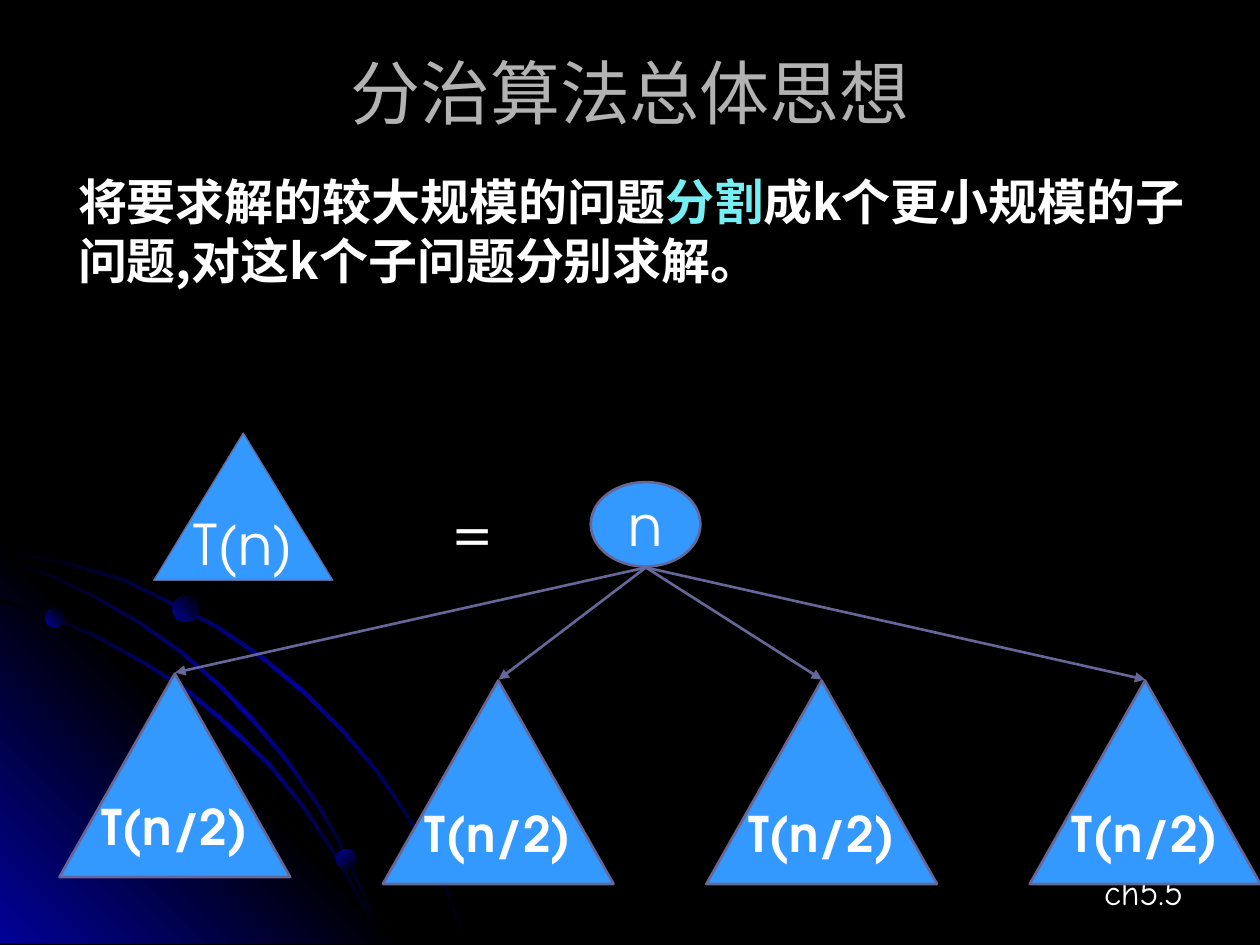
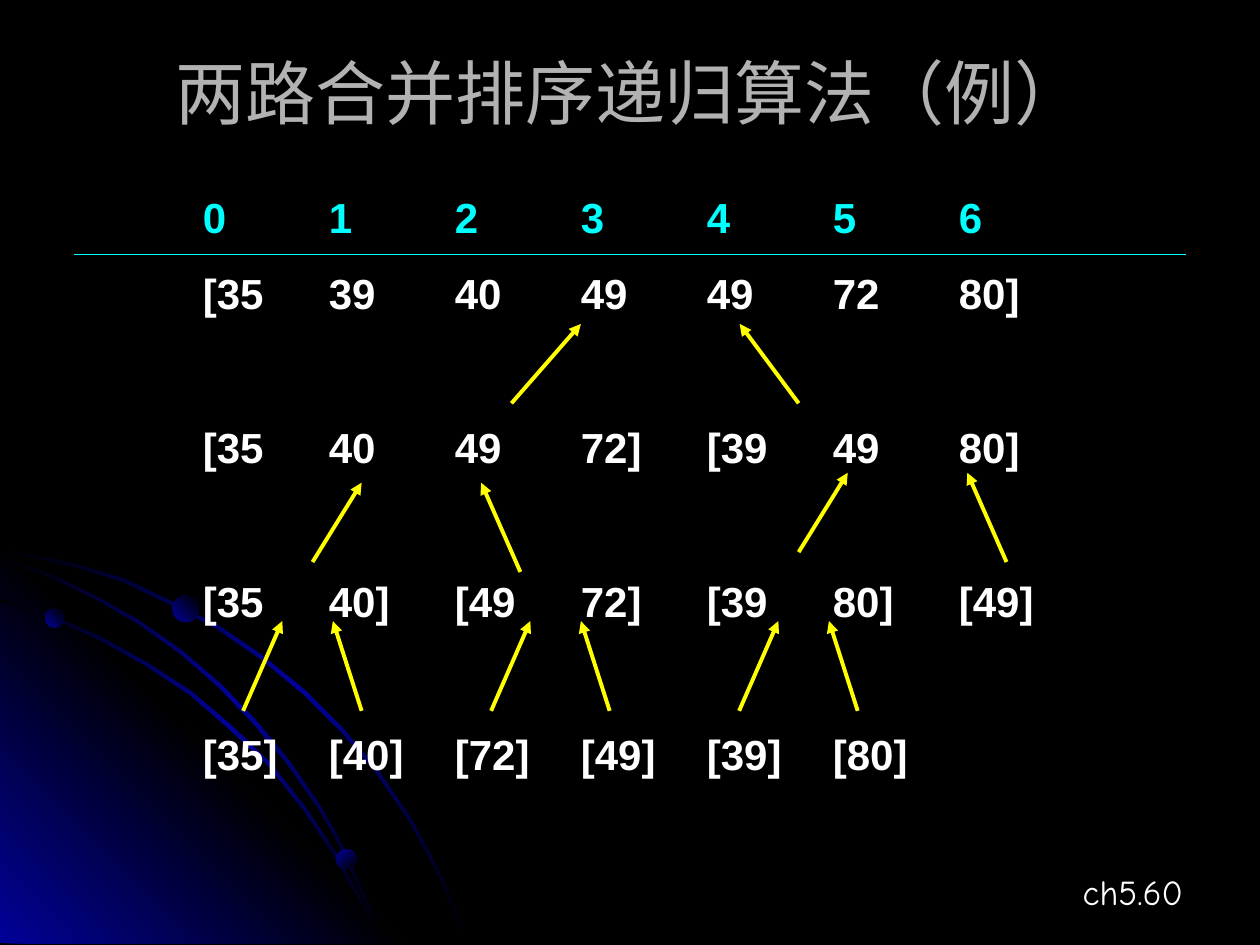
"""Build two slides on divide and conquer and on recursive merge sort."""
from pptx import Presentation
from pptx.dml.color import RGBColor
from pptx.enum.shapes import MSO_CONNECTOR as Conn, MSO_SHAPE as Kind
from pptx.enum.text import MSO_ANCHOR as Anchor, PP_ALIGN as Align
from pptx.oxml import parse_xml
from pptx.oxml.ns import nsdecls, qn
from pptx.util import Cm, Pt

BLACK, NAVY, WHITE, GREY = "000000", "010199", "FFFFFF", "B2B2B2"
SKY, SLATE, CYAN, PALE, YELLOW = "3399FF", "666699", "00FFFF", "77EEF1", "FFFF00"
HAN, GEO = "Noto Sans CJK SC", "TeX Gyre Adventor"
TITLE = {"name": "Arial", "size": Pt(40), "bold": False}
BODY = {"name": HAN, "size": Pt(28), "bold": True}
FOOT = {"name": "Comic Neue", "size": Pt(20), "bold": False}
NODE = {"name": GEO, "size": Pt(32), "bold": False}
LEAF = {"name": GEO, "size": Pt(28), "bold": True}
GRID = {"name": "Arial", "size": Pt(24), "bold": True}


def hue(code):
    return RGBColor.from_string(code)


def write(box, rows, look, align=Align.CENTER, wrap=True):
    frame = box.text_frame
    frame.word_wrap = wrap
    for num, (gap, runs) in enumerate(rows):
        para = frame.add_paragraph() if num else frame.paragraphs[0]
        para.alignment, para.space_before = align, Pt(gap)
        for text, code in runs:
            run = para.add_run()
            run.text = text
            for key, val in look.items():
                setattr(run.font, key, val)
            run.font.color.rgb = hue(code)
    for props in box.element.iter(qn("a:rPr")):
        props.append(parse_xml(f'<a:ea {nsdecls("a")} typeface="{HAN}"/>'))


deck = Presentation()
deck.slide_width, deck.slide_height = Cm(25.4), Cm(19.05)
master = deck.slide_master
master.background.fill.solid()
master.background.fill.fore_color.rgb = hue(BLACK)
split = deck.slides.add_slide(deck.slide_layouts[1])
merge = deck.slides.add_slide(deck.slide_layouts[5])

arcs = [
    [(0, 1105), (71, 1120), (145, 1135), (249, 1166), (345, 1212), (442, 1262),
     (531, 1323), (615, 1392), (691, 1468), (762, 1552), (826, 1646),
     (861, 1709), (894, 1773), (919, 1836), (945, 1902)],
    [(0, 1207), (104, 1240), (201, 1283), (297, 1336), (386, 1394), (467, 1463),
     (546, 1539), (615, 1626), (676, 1717), (726, 1808), (752, 1854), (770, 1902)],
    [(0, 1123), (99, 1156), (193, 1201), (282, 1252), (366, 1311), (445, 1379),
     (518, 1455), (582, 1532), (645, 1623), (683, 1689), (716, 1760),
     (747, 1829), (770, 1902)],
]
bands = []
for arc in arcs:
    last = len(arc) - 1
    inner = [(x - 5 * min(1, 2 * n / last), y + 6 * min(1, 2 - 2 * n / last))
             for n, (x, y) in enumerate(arc)]
    bands.append((arc + inner[::-1], [BLACK, NAVY, BLACK], 45))
bands.insert(1, ([(0, 1085), (818, 1902), (0, 1902)], [NAVY, BLACK, NAVY], 315))

decor = []
for points, codes, angle in bands:
    pen = split.shapes.build_freeform(*points[0], scale=Cm(0.01))
    pen.add_line_segments(points[1:], close=True)
    decor.append((pen.convert_to_shape(), codes, angle))
for left, top, size, angle in [(0.91, 12.27, 0.38, 315), (6.78, 17.12, 0.41, 45),
                               (3.48, 12.01, 0.53, 315)]:
    dot = split.shapes.add_shape(Kind.OVAL, Cm(left), Cm(top), Cm(size), Cm(size))
    decor.append((dot, [NAVY, BLACK], angle))

for num, (shape, codes, angle) in enumerate(decor):
    shape.shadow.inherit = False
    shape.line.fill.background()
    shape.fill.background()
    stops = "".join(
        f'<a:gs pos="{100000 * n // (len(codes) - 1)}"><a:srgbClr val="{code}"/></a:gs>'
        for n, code in enumerate(codes))
    props = shape.element.spPr
    props.replace(props.find(qn("a:noFill")), parse_xml(
        f'<a:gradFill {nsdecls("a")}><a:gsLst>{stops}</a:gsLst>'
        f'<a:lin ang="{angle * 60000}" scaled="0"/></a:gradFill>'))
    shape.element.nvSpPr.cNvPr.id = 20 + num
    master.shapes.element.append(shape.element)

for slide, head, mark in [(split, "分治算法总体思想", "ch5.5"),
                          (merge, "两路合并排序递归算法（例）", "ch5.60")]:
    title = slide.shapes.title
    title.left, title.top, title.width, title.height = Cm(1.27), Cm(0.76), Cm(22.86), Cm(2.16)
    title.text_frame.vertical_anchor = Anchor.MIDDLE
    write(title, [(0, [(head, GREY)])], TITLE)
    foot = slide.shapes.add_textbox(Cm(18.31), Cm(17.42), Cm(5.79), Cm(1.12))
    write(foot, [(0, [(mark, WHITE)])], FOOT, Align.RIGHT)

body = split.placeholders[1]
body.left, body.top, body.width, body.height = Cm(1.32), Cm(3.33), Cm(23.14), Cm(3)
write(body, [(0, [("将要求解的较大规模的问题", WHITE), ("分割", PALE),
                  ("成k个更小规模的子问题,对这k个子问题分别求解。", WHITE)])],
      BODY, Align.LEFT)
for para in body.element.iter(qn("a:p")):
    props = para.get_or_add_pPr()
    props.set("marL", "0")
    props.set("indent", "0")
    props.append(parse_xml(f'<a:buNone {nsdecls("a")}/>'))

nodes = [(Kind.OVAL, 11.91, 9.72, 2.21, 1.7, 1.5, "n", NODE),
         (Kind.ISOSCELES_TRIANGLE, 3.1, 8.73, 3.61, 2.97, 0.75, "T(n)", NODE)]
lines = [(merge, 1.5, 5.13, 23.9, 5.13, CYAN, 0.75, False)]
for col in range(4):
    left, top = 1.2 + 6.52 * col, 13.72 if col else 13.58
    nodes.append((Kind.ISOSCELES_TRIANGLE, left, top, 4.65, 4.1, 1.5, "T(n/2)", LEAF))
    lines.append((split, 13.02, 11.44, left + 2.33, top - 0.02, SLATE, 1.5, True))

pairs = [((4.9, 14.33, 5.69, 12.52), (7.29, 14.33, 6.71, 12.52), 5, 0, 3),
         ((6.3, 11.33, 7.29, 9.73), (10.49, 11.53, 9.7, 9.73), 9.8, -0.2, 2),
         ((10.31, 8.13, 11.71, 6.53), (16.1, 8.13, 14.91, 6.53), 0, 0, 1)]
for *pair, across, down, count in pairs:
    for num in range(count):
        for x1, y1, x2, y2 in pair:
            dx, dy = across * num, down * num
            lines.append((merge, x1 + dx, y1 + dy, x2 + dx, y2 + dy, YELLOW, 2.25, True))

grid = merge.shapes.add_textbox(Cm(1.3), Cm(3.73), Cm(22.81), Cm(12.09))
rows = [(0, CYAN, "0 1 2 3 4 5 6"),
        (15, WHITE, "[35 39 40 49 49 72 80]"),
        (59, WHITE, "[35 40 49 72] [39 49 80]"),
        (59, WHITE, "[35 40] [49 72] [39 80] [49]"),
        (59, WHITE, "[35] [40] [72] [49] [39] [80]")]
write(grid, [(gap, [("\t" + "\t".join(row.split()), code)]) for gap, code, row in rows],
      GRID, Align.LEFT)
tabs = "".join(f'<a:tab pos="{Cm(2.54) * n}" algn="l"/>' for n in range(1, 8))
for para in grid.element.iter(qn("a:p")):
    para.get_or_add_pPr().append(
        parse_xml(f'<a:tabLst {nsdecls("a")}>{tabs}</a:tabLst>'))

for slide, x1, y1, x2, y2, code, width, tip in lines:
    link = slide.shapes.add_connector(Conn.STRAIGHT, Cm(x1), Cm(y1), Cm(x2), Cm(y2))
    link.line.color.rgb, link.line.width = hue(code), Pt(width)
    props = link.element.spPr
    if tip:
        props.find(qn("a:ln")).append(
            parse_xml(f'<a:tailEnd {nsdecls("a")} type="triangle"/>'))
    props.append(parse_xml(f'<a:effectLst {nsdecls("a")}/>'))

for kind, left, top, wide, high, width, text, look in nodes:
    node = split.shapes.add_shape(kind, Cm(left), Cm(top), Cm(wide), Cm(high))
    node.shadow.inherit = False
    node.fill.solid()
    node.fill.fore_color.rgb = hue(SKY)
    node.line.color.rgb, node.line.width = hue(SLATE), Pt(width)
    node.text_frame.vertical_anchor = Anchor.MIDDLE
    write(node, [(0, [(text, WHITE)])], look, wrap=False)
equal = split.shapes.add_textbox(Cm(8.05), Cm(9.86), Cm(2.97), Cm(1.63))
write(equal, [(0, [("=", WHITE)])], NODE)

deck.save("out.pptx")
